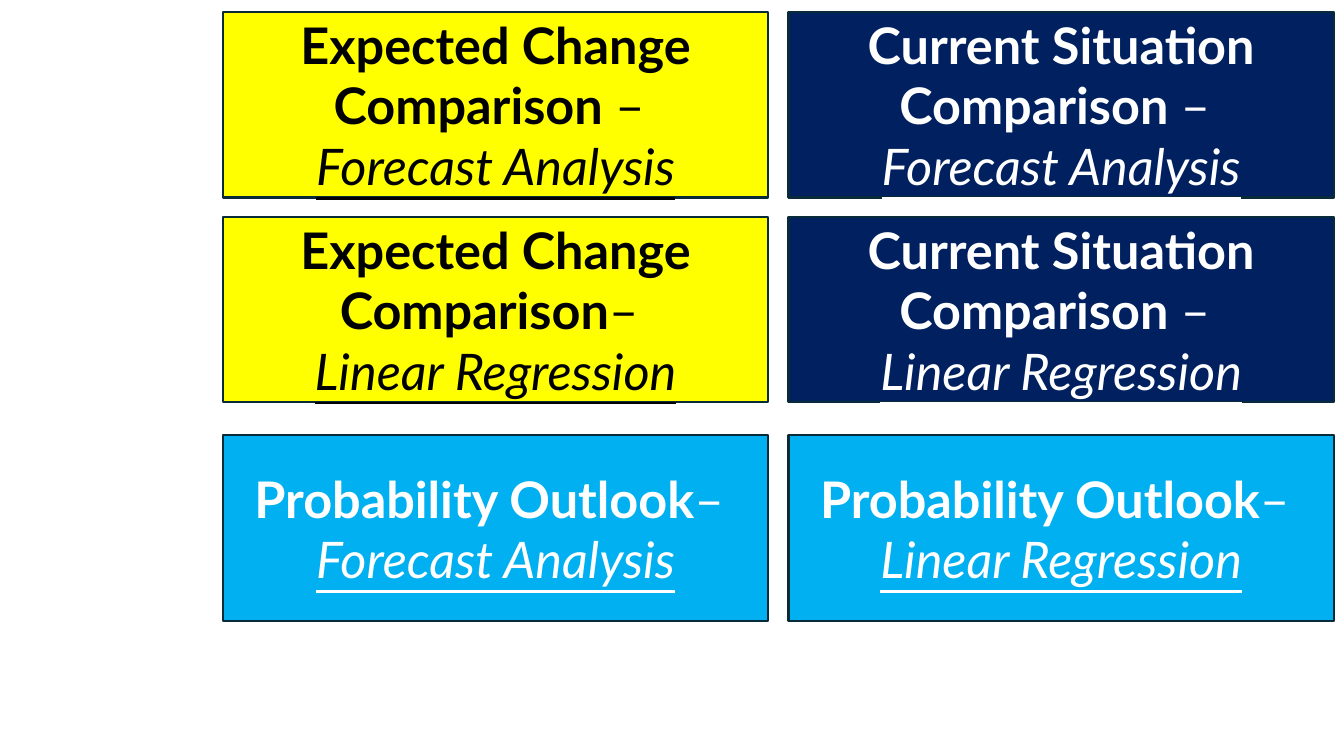
import pptx
import pptx.dml.color
import pptx.enum.shapes
import pptx.enum.text
import pptx.util

Inches = pptx.util.Inches
RGBColor = pptx.dml.color.RGBColor

YELLOW = RGBColor(0xFF, 0xFF, 0x00)
NAVY = RGBColor(0x00, 0x20, 0x60)
SKY = RGBColor(0x00, 0xB0, 0xF0)
OUTLINE = RGBColor(0x09, 0x2A, 0x39)
BLACK = RGBColor(0x00, 0x00, 0x00)
WHITE = RGBColor(0xFF, 0xFF, 0xFF)

COLUMNS = (2.21, 7.82)
ROWS = (0.12, 2.15, 4.32)
BOX_W, BOX_H = 5.41, 1.84

FORECAST = "Forecast Analysis"
REGRESSION = "Linear Regression"
CURRENT = "Current Situation Comparison "
EXPECTED = "Expected Change\nComparison"
OUTLOOK = "Probability Outlook"

CARDS = (
    (0, 0, EXPECTED + " ", FORECAST, YELLOW, BLACK),
    (1, 0, CURRENT, FORECAST, NAVY, WHITE),
    (0, 1, EXPECTED, REGRESSION, YELLOW, BLACK),
    (1, 1, CURRENT, REGRESSION, NAVY, WHITE),
    (0, 2, OUTLOOK, FORECAST, SKY, WHITE),
    (1, 2, OUTLOOK, REGRESSION, SKY, WHITE),
)


def add_text(p, text, color, **formats):
    for i, line in enumerate(text.split("\n")):
        if i:
            p.add_line_break()
        if not line:
            continue
        r = p.add_run()
        r.text = line
        r.font.color.rgb = color
        base = {"name": "Lato", "size": pptx.util.Pt(36), "bold": False}
        for key, value in (base | formats).items():
            setattr(r.font, key, value)


def add_card(s, x, y, w, h, title, method, fill, color):
    sp = s.shapes.add_shape(
        pptx.enum.shapes.MSO_SHAPE.RECTANGLE,
        Inches(x), Inches(y), Inches(w), Inches(h))
    sp.shadow.inherit = False
    sp.fill.solid()
    sp.fill.fore_color.rgb = fill
    sp.line.color.rgb = OUTLINE
    sp.line.width = pptx.util.Pt(1.5)
    tf = sp.text_frame
    tf.word_wrap = True
    tf.vertical_anchor = pptx.enum.text.MSO_ANCHOR.MIDDLE
    p = tf.paragraphs[0]
    p.alignment = pptx.enum.text.PP_ALIGN.CENTER
    add_text(p, title, color, bold=True)
    add_text(p, "– \n", color)
    add_text(p, method, color, italic=True, underline=True)


def main():
    prs = pptx.Presentation()
    prs.slide_width, prs.slide_height = Inches(13.33), Inches(7.5)
    s = prs.slides.add_slide(prs.slide_layouts[6])
    for col, row, *content in CARDS:
        add_card(s, COLUMNS[col], ROWS[row], BOX_W, BOX_H, *content)
    prs.save("out.pptx")


if __name__ == "__main__":
    main()
